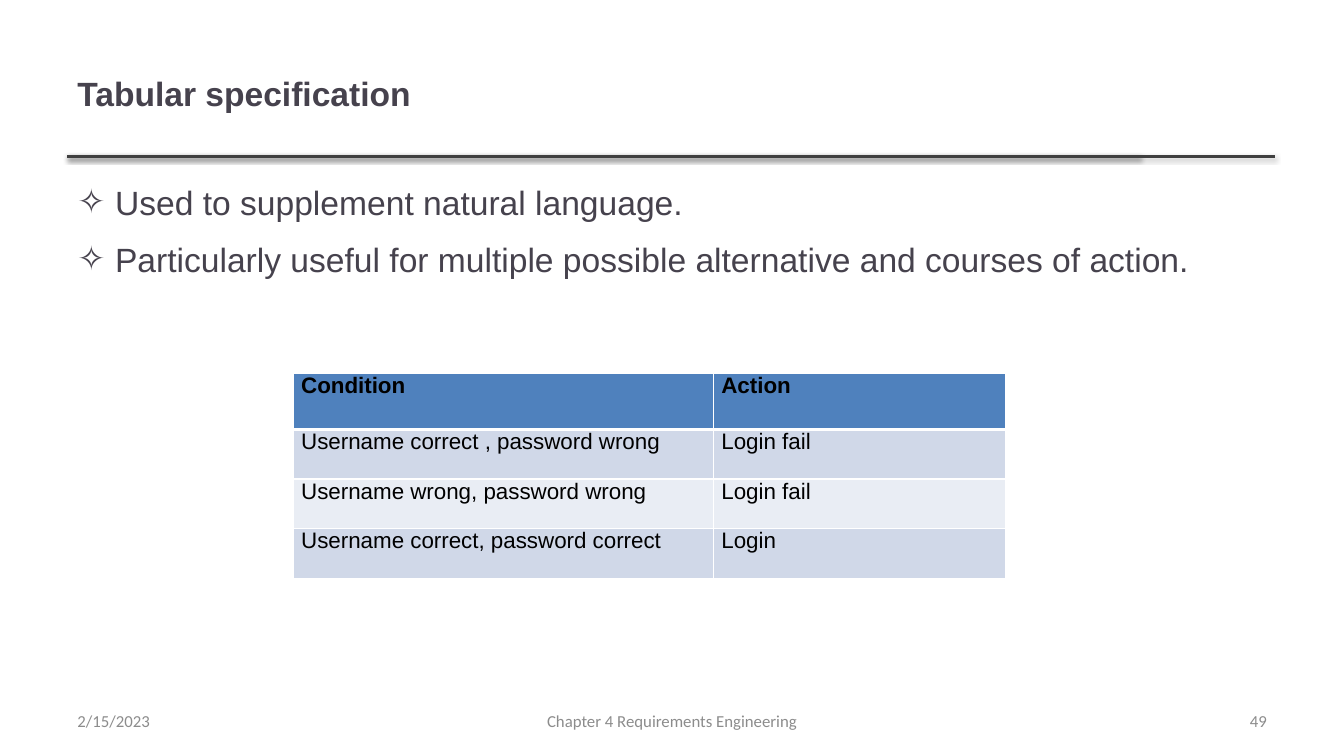
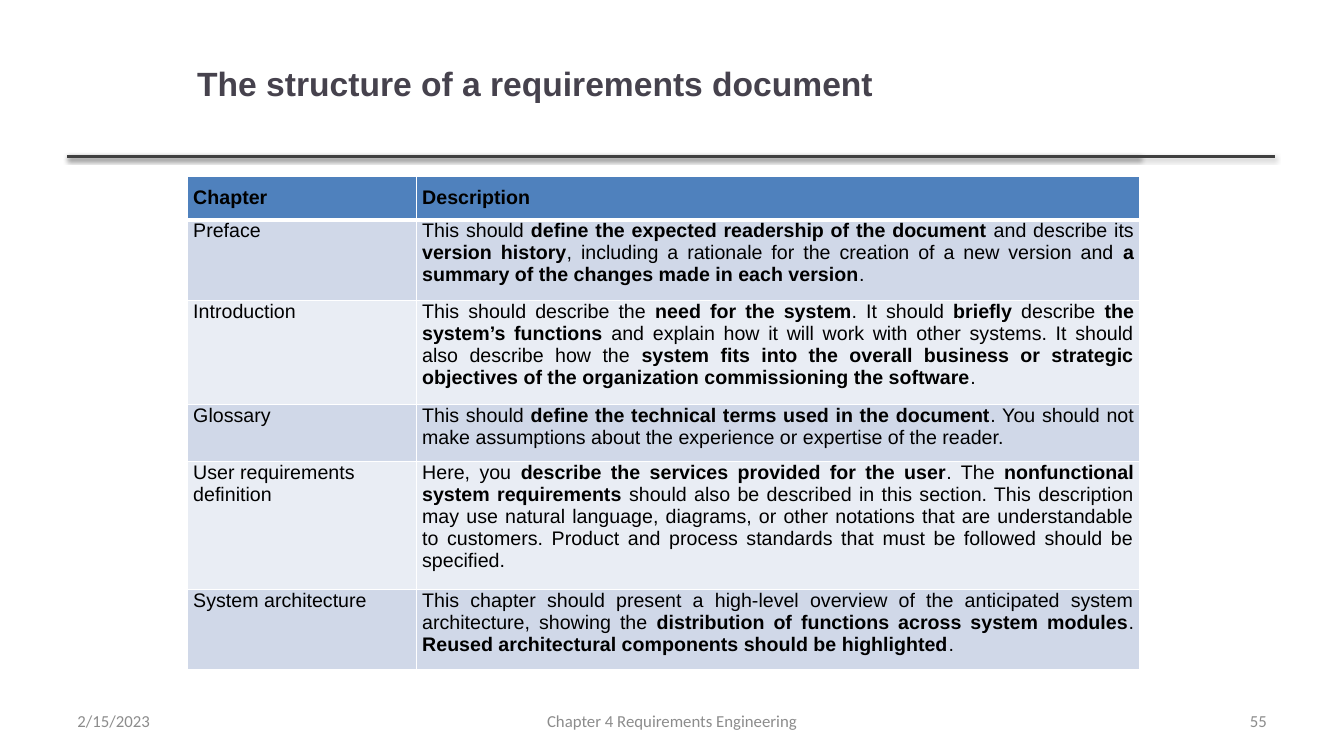
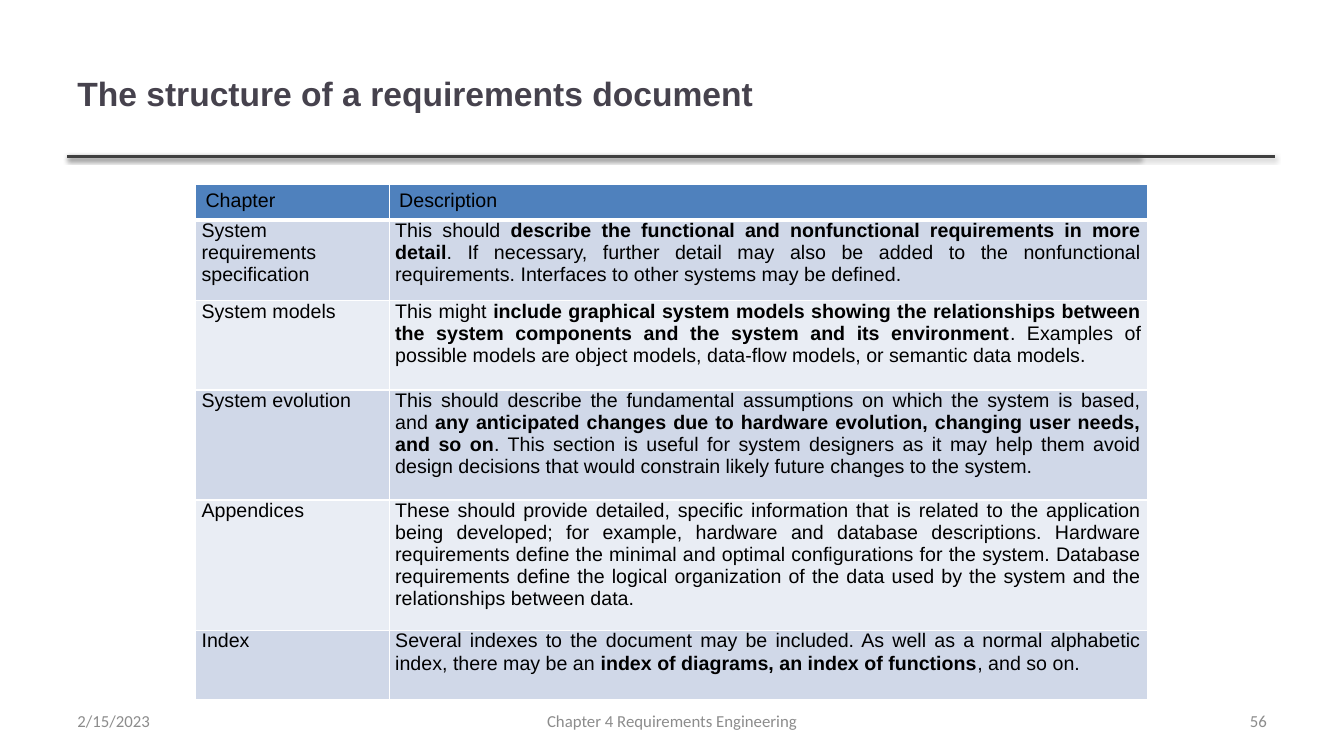
from lxml import etree
from pptx import Presentation
from pptx.dml.color import RGBColor
from pptx.enum.shapes import MSO_CONNECTOR
from pptx.enum.text import MSO_ANCHOR, PP_ALIGN
from pptx.oxml import parse_xml
from pptx.oxml.ns import nsdecls, qn
from pptx.util import Cm, Pt

LEFT, CENTER, RIGHT, JUSTIFY = PP_ALIGN.LEFT, PP_ALIGN.CENTER, PP_ALIGN.RIGHT, PP_ALIGN.JUSTIFY
TOP, MIDDLE = MSO_ANCHOR.TOP, MSO_ANCHOR.MIDDLE
STRAIGHT = MSO_CONNECTOR.STRAIGHT

INK = RGBColor(0x46, 0x42, 0x4D)
RULE = RGBColor(0x40, 0x40, 0x40)
GREY = RGBColor(0x8C, 0x8C, 0x8C)
BLACK = RGBColor(0x00, 0x00, 0x00)
HEADER_FILL = RGBColor(0x4F, 0x81, 0xBD)
BAND_FILLS = [RGBColor(0xE9, 0xED, 0xF4), RGBColor(0xD0, 0xD8, 0xE8)]

MARGIN = 1.7
RULE_TOP = 3.94
RULE_ENDS = [28.75, 32.13]
TITLE_AREA = (MARGIN, 0.76, 27, 3.18)
BODY_AREA = (MARGIN, 4.45, 30.48, 12.57)
FOOTER_TOP, FOOTER_HEIGHT = 17.65, 1.02
FOOTER_DATE = "2/15/2023"
FOOTER_TEXT = "Chapter 4 Requirements Engineering"
CELL_MARGINS = (0.15, 0, 0.15, 0.25)

SLIDES = [
    {
        "number": "49",
        "title": "Tabular specification",
        "bullets": [
            "Used to supplement natural language.",
            "Particularly useful for multiple possible alternative and courses of action.",
        ],
        "table": {
            "corner": (7.39, 9.4),
            "columns": [10.59, 7.37],
            "heights": [1.42, 1.25, 1.25, 1.25],
            "size": 16,
            "header_margins": (0.2, 0, 0.2, 0.25),
            "margins": (0.2, 0, 0.2, 0.25),
            "rows": [
                ("**Condition**", "**Action**"),
                ("Username correct , password wrong", "Login fail"),
                ("Username wrong, password wrong", "Login fail"),
                ("Username correct, password correct", "Login"),
            ],
        },
    },
    {
        "number": "55",
        "title": "The structure of a requirements document",
        "title_area": (4.72, 0.58, 20.47, 3.02),
        "table": {
            "corner": (4.72, 4.45),
            "columns": [5.77, 18.24],
            "heights": [1.04, 1.93, 2.47, 1.36, 3.05, 1.92],
            "size": 14,
            "header_margins": (0.15, 0.25, 0.15, 0.25),
            "margins": CELL_MARGINS,
            "rows": [
                ("**Chapter**", "**Description**"),
                ("Preface",
                 "This should **define the expected readership of the document** and describe its "
                 "**version history**, including a rationale for the creation of a new version and "
                 "**a summary of the changes made in each version**."),
                ("Introduction",
                 "This should describe the **need for the system**. It should **briefly** describe "
                 "**the system’s functions** and explain how it will work with other systems. "
                 "It should also describe how the **system fits into the overall business or "
                 "strategic objectives of the organization commissioning the software**."),
                ("Glossary",
                 "This should **define the technical terms used in the document**. You should not "
                 "make assumptions about the experience or expertise of the reader."),
                ("User requirements definition",
                 "Here, you **describe the services provided for the user**. The **nonfunctional "
                 "system requirements** should also be described in this section. This "
                 "description may use natural language, diagrams, or other notations that are "
                 "understandable to customers. Product and process standards that must be "
                 "followed should be specified."),
                ("System architecture",
                 "This chapter should present a high-level overview of the anticipated system "
                 "architecture, showing the **distribution of functions across system modules**. "
                 "**Reused architectural components should be highlighted**."),
            ],
        },
    },
    {
        "number": "56",
        "title": "The structure of a requirements document",
        "table": {
            "corner": (4.93, 4.65),
            "columns": [4.88, 19.1],
            "heights": [0.89, 1.93, 2.26, 2.77, 3.28, 1.75],
            "size": 14,
            "header_margins": (0.25, 0.13, 0.25, 0.13),
            "margins": CELL_MARGINS,
            "rows": [
                ("Chapter", "Description"),
                ("System requirements specification",
                 "This should **describe the functional and nonfunctional requirements in more "
                 "detail**. If necessary, further detail may also be added to the nonfunctional "
                 "requirements. Interfaces to other systems may be defined."),
                ("System models",
                 "This might **include graphical system models showing the relationships between "
                 "the system components and the system and its environment**. Examples of "
                 "possible models are object models, data-flow models, or semantic data models."),
                ("System evolution",
                 "This should describe the fundamental assumptions on which the system is based, "
                 "and **any anticipated changes due to hardware evolution, changing user needs, "
                 "and so on**. This section is useful for system designers as it may help them "
                 "avoid design decisions that would constrain likely future changes to the "
                 "system."),
                ("Appendices",
                 "These should provide detailed, specific information that is related to the "
                 "application being developed; for example, hardware and database descriptions. "
                 "Hardware requirements define the minimal and optimal configurations for the "
                 "system. Database requirements define the logical organization of the data used "
                 "by the system and the relationships between data."),
                ("Index",
                 "Several indexes to the document may be included. As well as a normal alphabetic "
                 "index, there may be an **index of diagrams, an index of functions**, and so on."),
            ],
        },
    },
]


def style_font(font, size, color, name="Arial", bold=False):
    font.size = Pt(size)
    font.name = name
    font.bold = bold
    font.color.rgb = color


def add_text(page, area, lines, size, color, name="Arial", bold=False, align=LEFT, anchor=MIDDLE):
    frame = page.shapes.add_textbox(*map(Cm, area)).text_frame
    frame.word_wrap = True
    frame.vertical_anchor = anchor
    frame.text = "\n".join(lines)
    for para in frame.paragraphs:
        para.alignment = align
        for span in para.runs:
            style_font(span.font, size, color, name, bold)
    return frame


def add_rule(page, end):
    rule = page.shapes.add_connector(STRAIGHT, Cm(MARGIN), Cm(RULE_TOP), Cm(end), Cm(RULE_TOP))
    rule.line.color.rgb = RULE
    rule.line.width = Pt(2)
    rule._element.spPr.append(parse_xml(
        f'<a:effectLst {nsdecls("a")}>'
        '<a:outerShdw blurRad="40000" dist="20000" dir="5400000" rotWithShape="0">'
        '<a:srgbClr val="000000"><a:alpha val="38000"/></a:srgbClr>'
        '</a:outerShdw></a:effectLst>'))


def add_frame(page, title, title_area, number):
    for end in RULE_ENDS:
        add_rule(page, end)
    add_text(page, title_area, [title], 24, INK, bold=True)
    footers = [
        (MARGIN, 7.9, FOOTER_DATE, LEFT),
        (11.58, 10.72, FOOTER_TEXT, CENTER),
        (24.28, 7.9, number, RIGHT),
    ]
    for left, width, text, align in footers:
        add_text(page, (left, FOOTER_TOP, width, FOOTER_HEIGHT), [text], 12, GREY, "Calibri", align=align)


def add_bullets(page, bullets):
    frame = add_text(page, BODY_AREA, bullets, 24, INK, anchor=TOP)
    for index, para in enumerate(frame.paragraphs):
        properties = para._p.get_or_add_pPr()
        properties.set("marL", str(Cm(0.95)))
        properties.set("indent", str(-Cm(0.95)))
        etree.SubElement(properties, qn("a:buFont"), typeface="Arial")
        etree.SubElement(properties, qn("a:buChar"), char="✧")
        para.space_after = Pt(6)
        if index:
            para.space_before = Pt(6)


def set_borders(cell, row):
    widths = {"L": 1, "R": 1, "T": 3 if row == 1 else 1, "B": 3 if row == 0 else 1}
    properties = cell._tc.get_or_add_tcPr()
    for side, width in widths.items():
        properties.append(parse_xml(
            f'<a:ln{side} {nsdecls("a")} w="{Pt(width)}">'
            f'<a:solidFill><a:srgbClr val="FFFFFF"/></a:solidFill></a:ln{side}>'))


def fill_cell(cell, text, row, column, table):
    set_borders(cell, row)
    cell.fill.solid()
    cell.fill.fore_color.rgb = BAND_FILLS[row % 2] if row else HEADER_FILL
    margins = table["margins"] if row else table["header_margins"]
    cell.margin_left, cell.margin_top, cell.margin_right, cell.margin_bottom = map(Cm, margins)
    cell.vertical_anchor = TOP
    para = cell.text_frame.paragraphs[0]
    para.alignment = JUSTIFY if column else LEFT
    for index, part in enumerate(text.split("**")):
        if part:
            span = para.add_run()
            span.text = part
            style_font(span.font, table["size"], BLACK, bold=index % 2 == 1)


def add_grid(page, table):
    rows, columns, heights = table["rows"], table["columns"], table["heights"]
    area = (*table["corner"], sum(columns), sum(heights))
    grid = page.shapes.add_table(len(rows), len(columns), *map(Cm, area)).table
    grid.first_row = False
    grid.horz_banding = False
    for column, width in zip(grid.columns, columns):
        column.width = Cm(width)
    for row, height in zip(grid.rows, heights):
        row.height = Cm(height)
    for row, texts in enumerate(rows):
        for column, text in enumerate(texts):
            fill_cell(grid.cell(row, column), text, row, column, table)


def main():
    deck = Presentation()
    deck.slide_width, deck.slide_height = Cm(33.87), Cm(19.05)
    for content in SLIDES:
        page = deck.slides.add_slide(deck.slide_layouts[6])
        add_frame(page, content["title"], content.get("title_area", TITLE_AREA), content["number"])
        if "bullets" in content:
            add_bullets(page, content["bullets"])
        add_grid(page, content["table"])
    deck.save("out.pptx")


if __name__ == "__main__":
    main()
